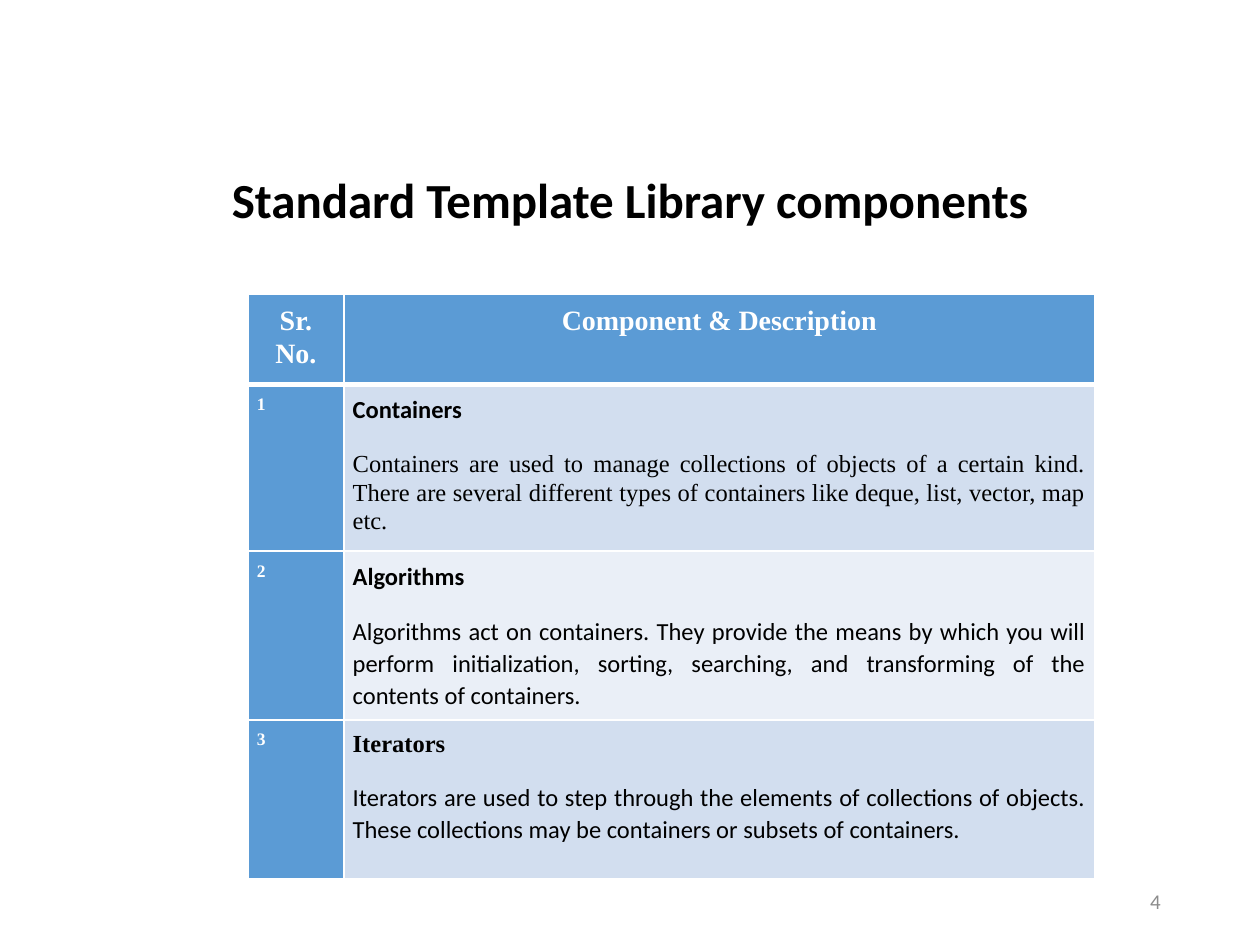
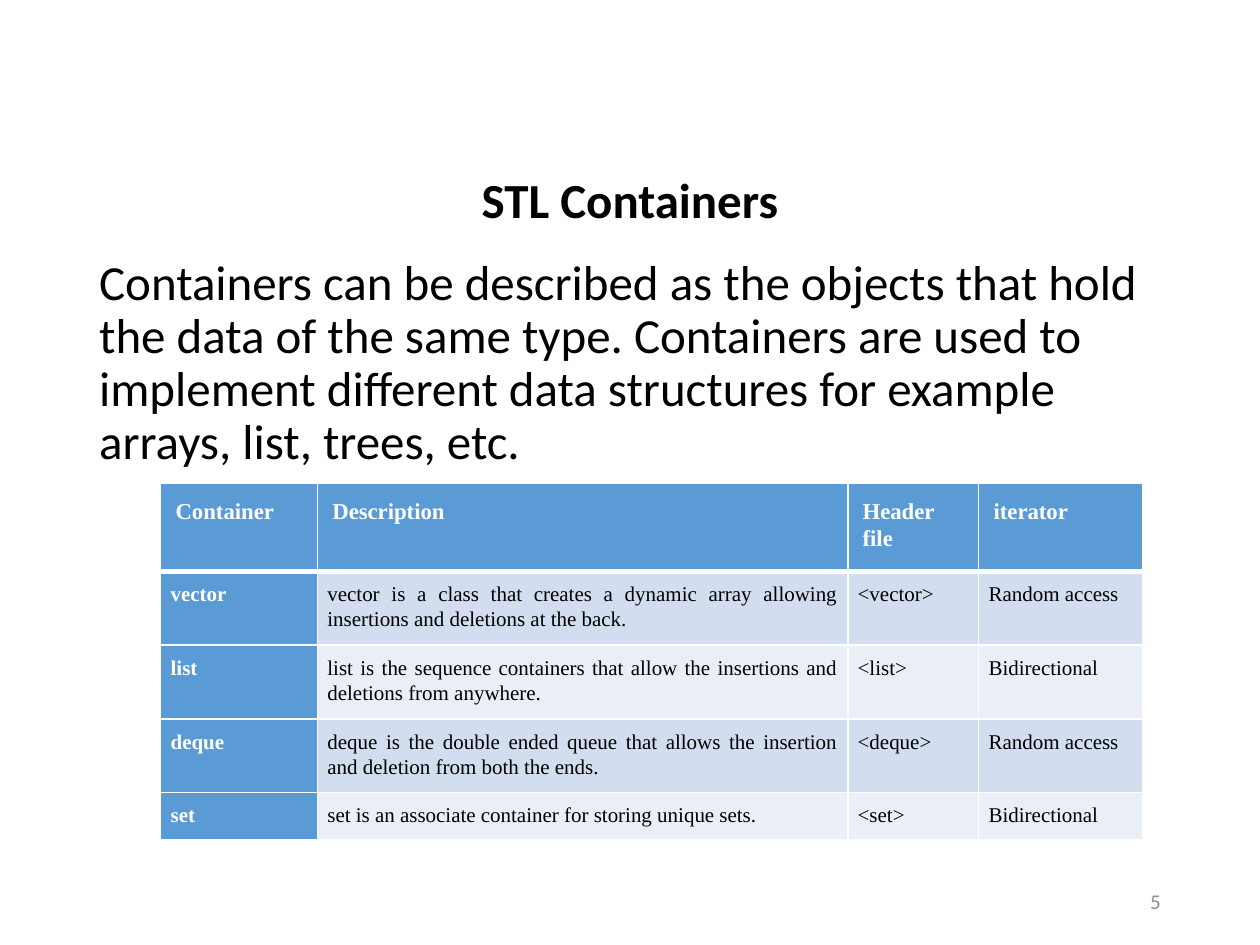
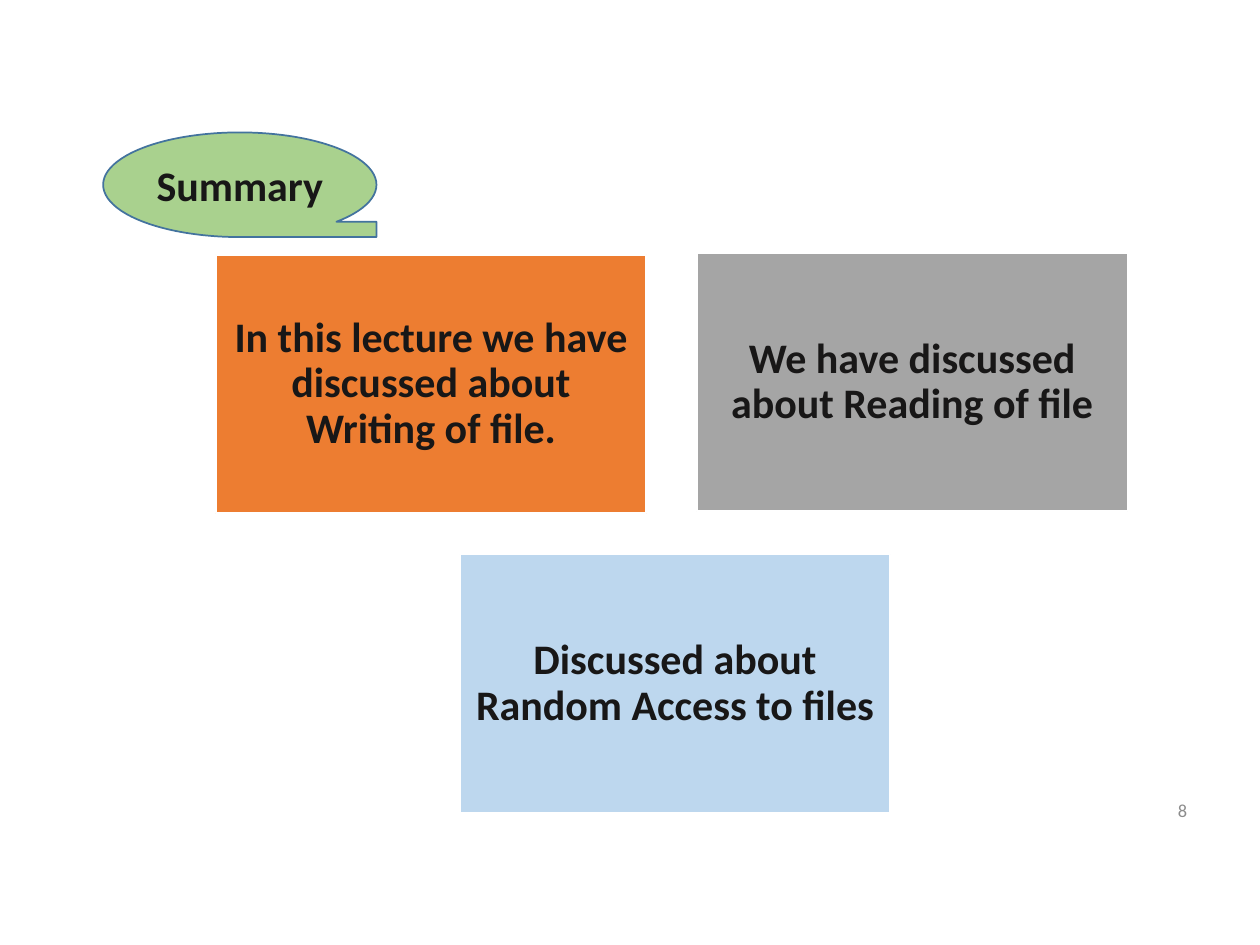
from lxml.etree import SubElement
from pptx import Presentation
from pptx.dml.color import RGBColor
from pptx.enum.shapes import MSO_SHAPE
from pptx.enum.text import MSO_ANCHOR, MSO_AUTO_SIZE, PP_ALIGN
from pptx.oxml.ns import qn
from pptx.util import Cm, Pt

WHITE = RGBColor(0xFF, 0xFF, 0xFF)
BLACK = RGBColor(0x00, 0x00, 0x00)
INK = RGBColor(0x18, 0x17, 0x17)
GRAY = RGBColor(0x8C, 0x8C, 0x8C)
BLUE = RGBColor(0x5B, 0x9B, 0xD5)
BAND_DARK = RGBColor(0xD2, 0xDE, 0xEF)
BAND_LIGHT = RGBColor(0xEA, 0xEF, 0xF7)
GREEN = RGBColor(0xA9, 0xD1, 0x8E)
OUTLINE = RGBColor(0x43, 0x73, 0x9E)
ORANGE = RGBColor(0xED, 0x7D, 0x31)
SILVER = RGBColor(0xA5, 0xA5, 0xA5)
PALE_BLUE = RGBColor(0xBD, 0xD7, 0xEE)

SANS = "Calibri"
SERIF = "Times New Roman"
TITLE_ONLY, BLANK = 5, 6
TITLE_BOX = (1.75, 3.15, 21.9, 1.85)
BODY_BOX = (1.75, 5.08, 21.9, 12.09)
NUMBER_BOX = (17.93, 17.65, 5.72, 1.02)

COMPONENTS = [
    ("Containers", SERIF.replace(SERIF, SANS), SERIF,
     "Containers are used to manage collections of objects of a certain kind. "
     "There are several different types of containers like deque, list, vector, map etc."),
    ("Algorithms", SANS, SANS,
     "Algorithms act on containers. They provide the means by which you will perform "
     "initialization, sorting, searching, and transforming of the contents of containers."),
    ("Iterators", SERIF, SANS,
     "Iterators are used to step through the elements of collections of objects. "
     "These collections may be containers or subsets of containers."),
]
COMPONENTS[0] = ("Containers", SANS) + COMPONENTS[0][2:]

CONTAINER_HEADS = ["Container", "Description", "Header file", "iterator"]
CONTAINERS = [
    ("vector", "vector is a class that creates a dynamic array allowing insertions "
     "and deletions at the back.", "<vector>", "Random access"),
    ("list", "list is the sequence containers that allow the insertions and deletions "
     "from anywhere.", "<list>", "Bidirectional"),
    ("deque", "deque is the double ended queue that allows the insertion and deletion "
     "from both the ends.", "<deque>", "Random access"),
    ("set", "set is an associate container for storing unique sets.", "<set>", "Bidirectional"),
]


def write(tf, text, font=SANS, size=28, color=BLACK, bold=False,
          align=PP_ALIGN.LEFT, spacing=1.0, before=0, after=0):
    p = tf.paragraphs[0]
    if p.runs:
        p = tf.add_paragraph()
    p.alignment, p.line_spacing = align, spacing
    p.space_before, p.space_after = Pt(before), Pt(after)
    r = p.add_run()
    r.text = text
    r.font.name, r.font.size, r.font.bold = font, Pt(size), bold
    r.font.color.rgb = color


def add_text(s, box, text, anchor=MSO_ANCHOR.TOP, **fmt):
    tf = s.shapes.add_textbox(*map(Cm, box)).text_frame
    tf.word_wrap, tf.vertical_anchor = True, anchor
    write(tf, text, **fmt)


def add_shape(s, kind, box, fill, line, text, **fmt):
    sp = s.shapes.add_shape(kind, *map(Cm, box))
    sp.shadow.inherit = False
    sp.fill.solid()
    sp.fill.fore_color.rgb = fill
    sp.line.color.rgb, sp.line.width = line, Pt(1)
    tf = sp.text_frame
    tf.word_wrap, tf.vertical_anchor = True, MSO_ANCHOR.MIDDLE
    write(tf, text, size=24, color=INK, bold=True, align=PP_ALIGN.CENTER, **fmt)


def add_number(s, number, box=NUMBER_BOX, size=12):
    add_text(s, box, str(number), anchor=MSO_ANCHOR.MIDDLE, size=size,
             color=GRAY, align=PP_ALIGN.RIGHT)


def add_titled_slide(prs, title, number):
    s = prs.slides.add_slide(prs.slide_layouts[TITLE_ONLY])
    sp = s.shapes.title
    sp.left, sp.top, sp.width, sp.height = map(Cm, TITLE_BOX)
    tf = sp.text_frame
    tf.word_wrap, tf.auto_size = True, MSO_AUTO_SIZE.NONE
    tf.vertical_anchor = MSO_ANCHOR.MIDDLE
    write(tf, title, bold=True, align=PP_ALIGN.CENTER, spacing=0.9)
    add_number(s, number)
    return s


def set_borders(cell, bottom):
    tc_pr = cell._tc.get_or_add_tcPr()
    for side, width in (("L", 1), ("R", 1), ("T", 1), ("B", bottom)):
        ln = SubElement(tc_pr, qn(f"a:ln{side}"), w=str(Pt(width)))
        fill = SubElement(ln, qn("a:solidFill"))
        SubElement(fill, qn("a:srgbClr"), val=str(WHITE))


def add_grid(s, left, top, widths, heights, head_margin, margin):
    table = s.shapes.add_table(len(heights), len(widths), Cm(left), Cm(top),
                               Cm(sum(widths)), Cm(sum(heights))).table
    for column, width in zip(table.columns, widths):
        column.width = Cm(width)
    for i, (row, height) in enumerate(zip(table.rows, heights)):
        row.height = Cm(height)
        inset = Cm(margin if i else head_margin)
        for j, cell in enumerate(row.cells):
            cell.margin_left = cell.margin_right = inset
            cell.margin_top = cell.margin_bottom = inset
            set_borders(cell, 1 if i else 3)
            cell.fill.solid()
            band = BAND_DARK if i % 2 else BAND_LIGHT
            cell.fill.fore_color.rgb = BLUE if i == 0 or j == 0 else band
    return table


def add_component_table(s, left, top):
    table = add_grid(s, left, top, [1.93, 15.14], [1.7, 3.24, 3.4, 3.2], 0.18, 0.18)
    for j, head in enumerate(["Sr. No.", "Component & Description"]):
        write(table.cell(0, j).text_frame, head, font=SERIF, size=16, color=WHITE,
              bold=True, align=PP_ALIGN.CENTER, spacing=1.07)
    body = dict(size=14, align=PP_ALIGN.JUSTIFY, spacing=1.07, before=6, after=7.2)
    for i, (name, name_font, text_font, text) in enumerate(COMPONENTS, 1):
        write(table.cell(i, 0).text_frame, str(i), font=SERIF, size=10,
              color=WHITE, bold=True, spacing=1.07)
        tf = table.cell(i, 1).text_frame
        write(tf, name, font=name_font, bold=True, **body)
        write(tf, text, font=text_font, **body)


def add_container_table(s, left, top):
    table = add_grid(s, left, top, [3.16, 10.69, 2.64, 3.3],
                     [1.68, 1.43, 1.43, 1.43, 0.92], 0.3, 0.2)
    for j, head in enumerate(CONTAINER_HEADS):
        write(table.cell(0, j).text_frame, head, font=SERIF, size=13, color=WHITE,
              bold=True, spacing=1.07)
    for i, record in enumerate(CONTAINERS, 1):
        for j, text in enumerate(record):
            write(table.cell(i, j).text_frame, text, font=SERIF, size=12,
                  color=BLACK if j else WHITE, bold=j == 0,
                  align=PP_ALIGN.JUSTIFY, spacing=1.07)


def add_components_slide(prs):
    s = add_titled_slide(prs, "Standard Template Library components", 4)
    add_component_table(s, 5, 5.94)


def add_containers_slide(prs):
    s = add_titled_slide(prs, "STL Containers", 5)
    add_text(s, BODY_BOX,
             "Containers can be described as the objects that hold the data of the same type. "
             "Containers are used to implement different data structures for example arrays, "
             "list, trees, etc.", spacing=0.9, before=10)
    add_container_table(s, 3.24, 9.74)


def add_summary_slide(prs):
    s = prs.slides.add_slide(prs.slide_layouts[BLANK])
    add_number(s, 8, box=(19.91, 16.28, 4.27, 0.1), size=10.5)
    add_shape(s, MSO_SHAPE.FLOWCHART_SEQUENTIAL_ACCESS_STORAGE,
              (2.08, 2.67, 5.51, 2.11), GREEN, OUTLINE, "Summary")
    cards = [
        (4.35, 5.14, ORANGE, "In this lecture we have discussed about Writing of file."),
        (14.05, 5.1, SILVER, "We have discussed about Reading of file"),
        (9.27, 11.18, PALE_BLUE, "Discussed about Random Access to files"),
    ]
    for left, top, fill, text in cards:
        add_shape(s, MSO_SHAPE.RECTANGLE, (left, top, 8.68, 5.21), fill, WHITE,
                  text, spacing=0.9)


def main():
    prs = Presentation()
    prs.slide_width, prs.slide_height = Cm(25.4), Cm(19.05)
    add_components_slide(prs)
    add_containers_slide(prs)
    add_summary_slide(prs)
    prs.save("out.pptx")


if __name__ == "__main__":
    main()
